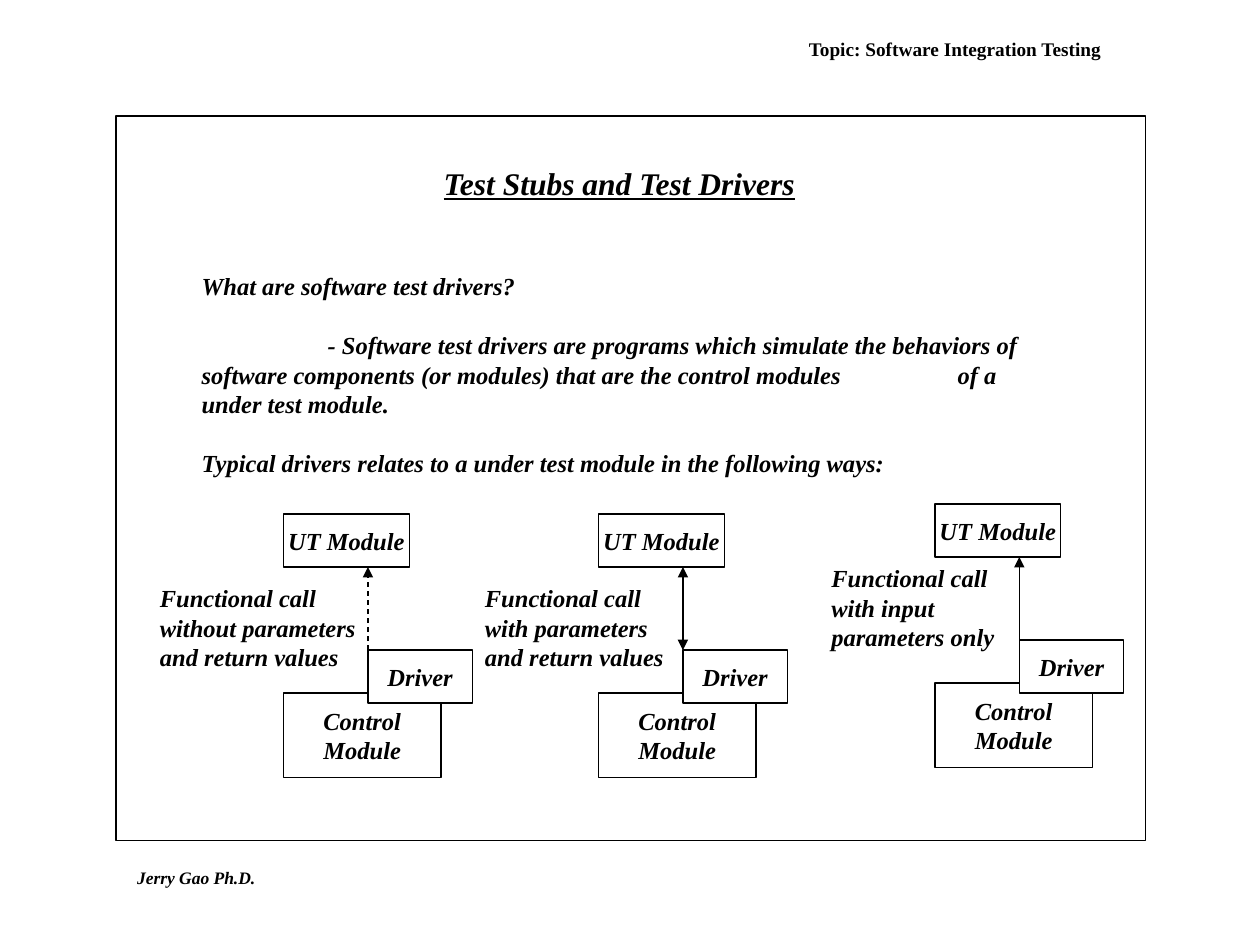
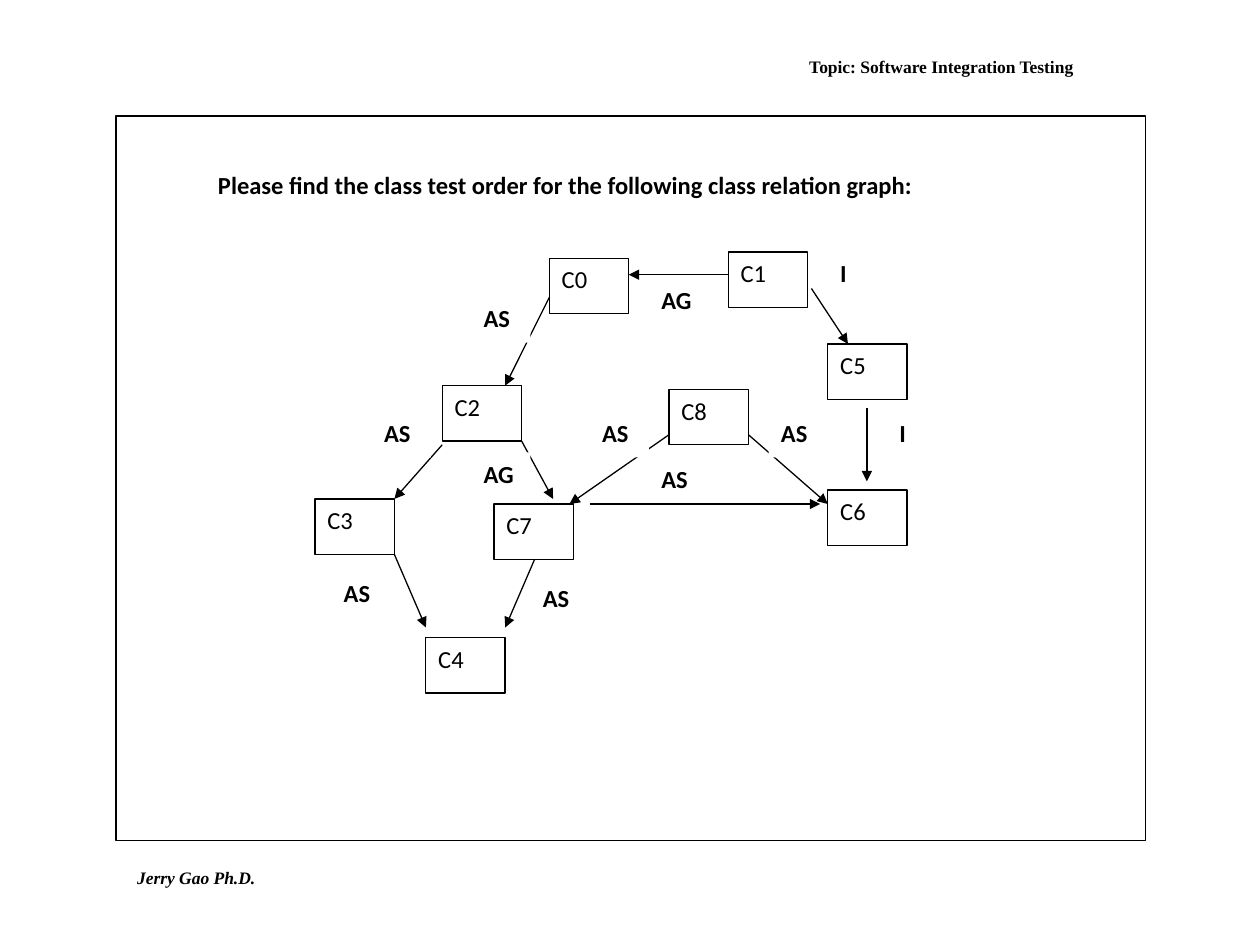
from dataclasses import dataclass

from lxml import etree
from pptx import Presentation
from pptx.dml.color import RGBColor
from pptx.enum import dml, shapes, text
from pptx.oxml.ns import qn
from pptx.util import Inches, Pt

BLACK = RGBColor(0x00, 0x00, 0x00)
WHITE = RGBColor(0xFF, 0xFF, 0xFF)
SERIF = "Times New Roman"
SANS = "Calibri"
LINE_WIDTH = Pt(0.75)
LEFT, CENTER = text.PP_ALIGN.LEFT, text.PP_ALIGN.CENTER
TOP, MIDDLE = text.MSO_ANCHOR.TOP, text.MSO_ANCHOR.MIDDLE
LINE_GAP = Pt(16.8)


@dataclass(frozen=True)
class DriverCase:
    """One way in which a driver calls the module under test."""
    left: float
    top: float
    caption: str
    caption_left: float
    caption_top: float
    two_way: bool = False
    dashed: bool = False


@dataclass(frozen=True)
class ClassNode:
    name: str
    left: float
    top: float


@dataclass(frozen=True)
class Relation:
    start: tuple[float, float]
    end: tuple[float, float]


@dataclass(frozen=True)
class RelationLabel:
    kind: str
    left: float
    top: float
    width: float = 0.47
    height: float = 0.36


DRIVER_CASES = [
    DriverCase(2.25, 4.08, "Functional call\nwithout parameters\nand return values",
               1.17, 4.58, dashed=True),
    DriverCase(4.75, 4.08, "Functional call\nwith parameters\nand return values",
               3.75, 4.58, two_way=True),
    DriverCase(7.42, 4.0, "Functional call\nwith input\nparameters only",
               6.5, 4.42),
]

CLASS_NODES = [
    ClassNode("C0", 4.36, 2.05),
    ClassNode("C1", 5.78, 2.0),
    ClassNode("C2", 3.51, 3.06),
    ClassNode("C3", 2.5, 3.96),
    ClassNode("C4", 3.38, 5.06),
    ClassNode("C5", 6.57, 2.73),
    ClassNode("C6", 6.57, 3.89),
    ClassNode("C7", 3.92, 4.0),
    ClassNode("C8", 5.31, 3.09),
]

RELATIONS = [
    Relation((4.36, 2.36), (4.01, 3.06)),
    Relation((5.78, 2.18), (4.99, 2.18)),
    Relation((3.51, 3.53), (3.13, 3.96)),
    Relation((4.14, 3.5), (4.39, 3.96)),
    Relation((3.13, 4.4), (3.38, 4.98)),
    Relation((6.44, 2.29), (6.73, 2.73)),
    Relation((5.31, 3.45), (4.52, 4.0)),
    Relation((4.26, 4.4), (4.01, 4.98)),
    Relation((6.88, 3.24), (6.88, 3.82)),
    Relation((5.94, 3.45), (6.57, 4.0)),
    Relation((4.68, 4.0), (6.51, 4.0)),
]

RELATION_LABELS = [
    RelationLabel("I", 7.04, 3.27, width=0.31),
    RelationLabel("I", 6.57, 2.0, width=0.31),
    RelationLabel("AG", 5.15, 2.21, height=0.33),
    RelationLabel("AS", 6.1, 3.27),
    RelationLabel("AS", 4.68, 3.27),
    RelationLabel("AS", 5.15, 3.63),
    RelationLabel("AS", 3.74, 2.36),
    RelationLabel("AG", 3.74, 3.59),
    RelationLabel("AS", 2.95, 3.27),
    RelationLabel("AS", 2.63, 4.54),
    RelationLabel("AS", 4.21, 4.58),
]


def write(shape, content: str, *, size: float = 14, font: str = SERIF,
          bold: bool = True, italic: bool = True, underline: bool = False,
          align=LEFT, anchor=TOP, wrap: bool = True, grow: bool = False) -> None:
    """Fill a shape with text, one paragraph a line."""
    frame = shape.text_frame
    frame.text = content
    frame.word_wrap = wrap
    frame.auto_size = (text.MSO_AUTO_SIZE.SHAPE_TO_FIT_TEXT if grow
                       else text.MSO_AUTO_SIZE.NONE)
    frame.vertical_anchor = anchor
    frame.margin_left = frame.margin_right = Inches(0.1)
    frame.margin_top = frame.margin_bottom = Inches(0.05)
    for paragraph in frame.paragraphs:
        paragraph.alignment = align
        paragraph.space_before = Pt(0)
        for run in paragraph.runs:
            run.font.name = font
            run.font.size = Pt(size)
            run.font.bold = bold
            run.font.italic = italic
            run.font.underline = underline
            run.font.color.rgb = BLACK


def place(shape, left: float, top: float, width: float, height: float):
    shape.left, shape.top = Inches(left), Inches(top)
    shape.width, shape.height = Inches(width), Inches(height)
    return shape


def add_text(slide, left: float, top: float, width: float, height: float,
             content: str, **style) -> None:
    box = slide.shapes.add_textbox(
        Inches(left), Inches(top), Inches(width), Inches(height))
    write(box, content, **style)


def add_box(slide, left: float, top: float, width: float, height: float,
            content: str = "", *, filled: bool = True, outlined: bool = True,
            **style) -> None:
    box = slide.shapes.add_shape(
        shapes.MSO_SHAPE.RECTANGLE,
        Inches(left), Inches(top), Inches(width), Inches(height))
    box.shadow.inherit = False
    if filled:
        box.fill.solid()
        box.fill.fore_color.rgb = WHITE
    else:
        box.fill.background()
    if outlined:
        box.line.color.rgb = BLACK
        box.line.width = LINE_WIDTH
    else:
        box.line.fill.background()
    if content:
        write(box, content, **style)


def add_arrow(slide, start: tuple[float, float], end: tuple[float, float], *,
              two_way: bool = False, dashed: bool = False) -> None:
    arrow = slide.shapes.add_connector(
        shapes.MSO_CONNECTOR.STRAIGHT,
        *(Inches(value) for value in (*start, *end)))
    arrow.line.color.rgb = BLACK
    arrow.line.width = LINE_WIDTH
    if dashed:
        arrow.line.dash_style = dml.MSO_LINE.DASH
    outline = arrow.line._get_or_add_ln()
    for tip in ("a:headEnd", "a:tailEnd") if two_way else ("a:tailEnd",):
        etree.SubElement(outline, qn(tip), type="triangle")
    etree.SubElement(arrow._element.spPr, qn("a:effectLst"))


def set_layout(paragraph, *, indent: float = 0) -> None:
    """Remove the bullet, set the first-line indent and tab stops each inch."""
    properties = paragraph._p.get_or_add_pPr()
    properties.set("marL", "0")
    properties.set("indent", str(Inches(indent)))
    properties.set("defTabSz", str(Inches(1)))
    etree.SubElement(properties, qn("a:buNone"))


def add_page(deck, layout: int, *, topic_left: float, topic_top: float,
             topic_size: float):
    """Start a slide with the shared frame, topic line and author."""
    slide = deck.slides.add_slide(deck.slide_layouts[layout])
    add_box(slide, 0.92, 0.92, 8.17, 5.75, filled=False)
    add_text(slide, topic_left, topic_top, 3, 0.25,
             "Topic: Software Integration Testing",
             size=topic_size, italic=False, align=CENTER, anchor=MIDDLE)
    add_text(slide, 0.99, 6.83, 1.14, 0.27, "Jerry Gao Ph.D.",
             size=10, wrap=False, grow=True)
    return slide


def add_driver_case(slide, case: DriverCase) -> None:
    centered = dict(align=CENTER, anchor=MIDDLE, wrap=False)
    driver_left, driver_top = case.left + 0.67, case.top + 1.08
    add_box(slide, case.left, case.top, 1, 0.42, "UT Module", **centered)
    add_box(slide, case.left, case.top + 1.42, 1.25, 0.67,
            "Control\nModule", **centered)
    add_arrow(slide, (driver_left, driver_top), (driver_left, case.top + 0.42),
              two_way=case.two_way, dashed=case.dashed)
    add_box(slide, driver_left, driver_top, 0.83, 0.42, "Driver", **centered)
    add_text(slide, case.caption_left, case.caption_top, 1.85, 0.8, case.caption)


def build_drivers_slide(deck) -> None:
    slide = add_page(deck, 1, topic_left=6.08, topic_top=0.26, topic_size=11)
    title = place(slide.shapes.title, 1.58, 1.25, 6.67, 0.4)
    write(title, "Test Stubs and Test Drivers", size=18, underline=True,
          align=CENTER)

    # Definition of test drivers
    definition = place(slide.placeholders[1], 1.5, 1.92, 6.92, 2.33)
    write(definition,
          "What are software test drivers?\n"
          "- Software test drivers are programs which simulate the behaviors of "
          "software components (or modules) that are the control modules "
          "\tof a under test module.\n"
          "Typical drivers relates to a under test module in the following ways:",
          anchor=MIDDLE)
    definition.text_frame.margin_bottom = Inches(0.28)
    question, answer, lead_in = definition.text_frame.paragraphs
    set_layout(question)
    set_layout(answer, indent=1)
    set_layout(lead_in)
    answer.space_before = lead_in.space_before = LINE_GAP

    # Three ways of calling the module under test
    for case in DRIVER_CASES:
        add_driver_case(slide, case)


def build_class_graph_slide(deck) -> None:
    slide = add_page(deck, 5, topic_left=5.97, topic_top=0.4, topic_size=10)
    title = place(slide.shapes.title, 1.63, 1.3, 5.75, 0.36)
    write(title, "Please find the class test order for the following class "
          "relation graph:", font=SANS, italic=False)

    # Relations lie beneath their labels and the classes
    for relation in RELATIONS:
        add_arrow(slide, relation.start, relation.end)
    for label in RELATION_LABELS:
        add_box(slide, label.left, label.top, label.width, label.height,
                label.kind, outlined=False, font=SANS, italic=False)
    for node in CLASS_NODES:
        add_box(slide, node.left, node.top, 0.63, 0.44, node.name,
                font=SANS, bold=False, italic=False)


def main() -> None:
    deck = Presentation()
    deck.slide_width, deck.slide_height = Inches(10), Inches(7.5)
    build_drivers_slide(deck)
    build_class_graph_slide(deck)
    deck.save("out.pptx")


if __name__ == "__main__":
    main()
